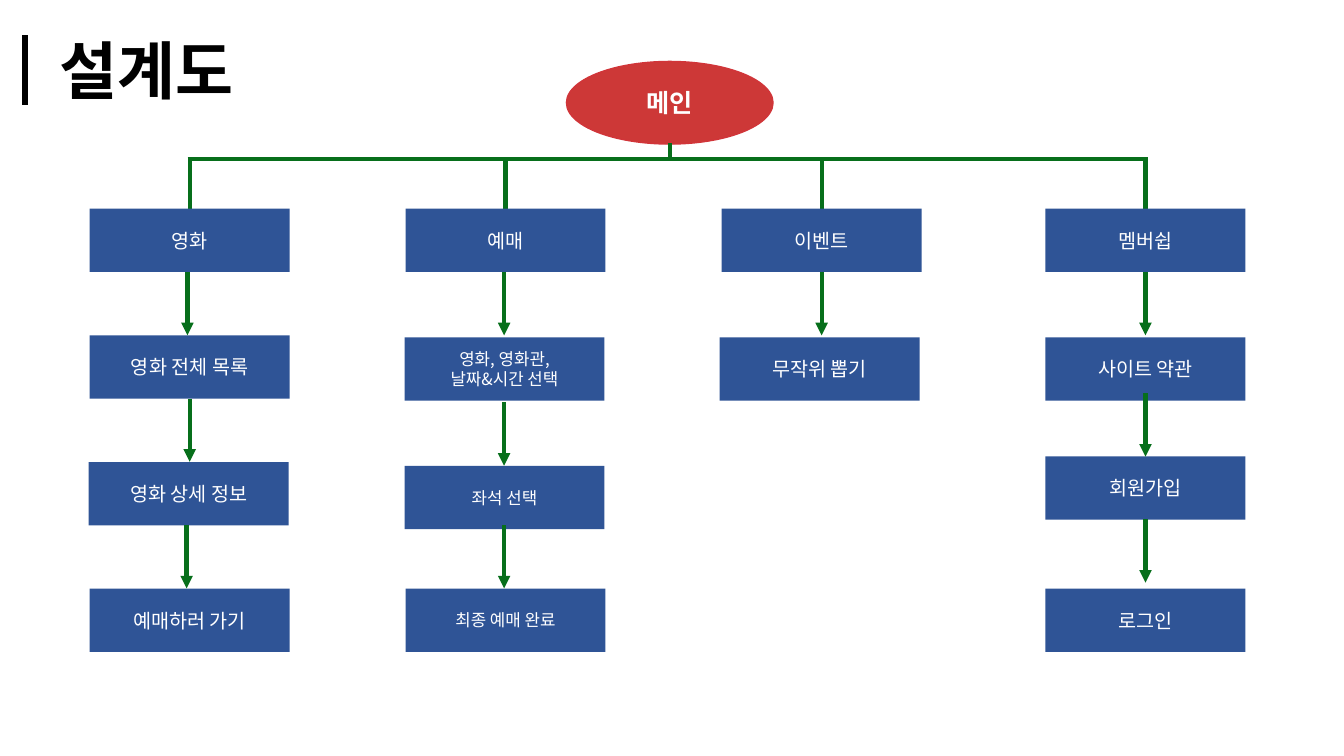
from pptx import Presentation
from pptx.dml.color import RGBColor
from pptx.enum.shapes import MSO_CONNECTOR, MSO_SHAPE
from pptx.enum.text import MSO_ANCHOR, MSO_AUTO_SIZE, PP_ALIGN
from pptx.oxml.ns import qn
from pptx.util import Pt
from lxml import etree

STRAIGHT = MSO_CONNECTOR.STRAIGHT
OVAL, RECTANGLE = MSO_SHAPE.OVAL, MSO_SHAPE.RECTANGLE
TOP, MIDDLE = MSO_ANCHOR.TOP, MSO_ANCHOR.MIDDLE
LEFT, CENTER = PP_ALIGN.LEFT, PP_ALIGN.CENTER
NO_AUTO_SIZE = MSO_AUTO_SIZE.NONE

FONT = "Noto Sans CJK KR"
BLACK, WHITE = "000000", "FFFFFF"
RED, RED_EDGE, BLUE, GREEN = "CD3837", "D13539", "2F5496", "076F1B"
STEP_WIDTH, STEP_HEIGHT, ARROW_LENGTH = 142.8, 45.2, 45.2
HEAD_TOP, BUS_TOP, LINE_WIDTH = 149, 113.8, 3

# Each column: left, steps (label, size, left shift, top), arrows (shift from centre, top).
COLUMNS = [
    (64.1,
     [("영화", 14, 0, HEAD_TOP), ("영화 전체 목록", 14, 0, 239.6),
      ("영화 상세 정보", 14, -0.7, 330), ("예매하러 가기", 14, 0, 420.4)],
     [(-1.6, 194.3), (0, 284.7), (-2.2, 375.1)]),
    (289.7,
     [("예매", 14, 0, HEAD_TOP), ("영화, 영화관,\n날짜&시간 선택", 12, -0.7, 241),
      ("좌석 선택", 12, -0.7, 332.8), ("최종 예매 완료", 12, 0, 420.4)],
     [(-1, 194.3), (-1, 287.5), (-1, 375.1)]),
    (515.5,
     [("이벤트", 14, 0, HEAD_TOP), ("무작위 뽑기", 14, -1.4, 241)],
     [(0, 194.3)]),
    (746.8,
     [("멤버쉽", 14, 0, HEAD_TOP), ("사이트 약관", 14, 0, 241),
      ("회원가입", 14, 0, 326), ("로그인", 14, 0, 420.4)],
     [(0, 194.3), (0, 281), (0, 371)]),
]


def color(value):
    """Turn a hex string into a colour."""
    return RGBColor.from_string(value)


def write(shape, text, size, ink, bold=False, align=CENTER, anchor=MIDDLE):
    """Put formatted text into a shape."""
    frame = shape.text_frame
    frame.text = text
    frame.word_wrap = True
    frame.auto_size = NO_AUTO_SIZE
    frame.vertical_anchor = anchor
    for para in frame.paragraphs:
        para.alignment = align
        for span in para.runs:
            span.font.size = Pt(size)
            span.font.bold = bold
            span.font.name = FONT
            span.font.color.rgb = color(ink)
            east_asian = etree.SubElement(span.font._element, qn("a:ea"))
            east_asian.set("typeface", FONT)


def add_block(page, kind, box, fill, edge=None):
    """Add a filled shape, outlined only when an edge colour is given."""
    shape = page.shapes.add_shape(kind, *map(Pt, box))
    shape.shadow.inherit = False
    shape.fill.solid()
    shape.fill.fore_color.rgb = color(fill)
    if edge:
        shape.line.color.rgb = color(edge)
        shape.line.width = Pt(1)
    else:
        shape.line.fill.background()
    return shape


def add_line(page, start, end, ink=GREEN, width=LINE_WIDTH, arrow=False):
    """Draw a straight line, with an arrowhead at its end if asked."""
    line = page.shapes.add_connector(STRAIGHT, *map(Pt, (*start, *end)))
    line.line.color.rgb = color(ink)
    line.line.width = Pt(width)
    if arrow:
        etree.SubElement(line.line._ln, qn("a:tailEnd")).set("type", "triangle")
    etree.SubElement(line._element.spPr, qn("a:effectLst"))


def add_title(page, box):
    """Place the title and the upright bar to its left."""
    left, top, width, height = box
    title = page.shapes.title
    title.left, title.top, title.width, title.height = map(Pt, box)
    write(title, "설계도", 45, BLACK, True, LEFT, TOP)
    bar_left = left - 17.3
    add_line(page, (bar_left, top + 6.5), (bar_left, top + 56.2), BLACK, 4.5)


def add_root(page, box):
    """Place the main node and the bus that joins it to the columns."""
    left, top, width, height = box
    main = add_block(page, OVAL, box, RED, RED_EDGE)
    write(main, "메인", 18, WHITE, True)
    middle = left + width / 2
    add_line(page, (middle, top + height - 0.7), (middle, BUS_TOP))
    centers = [column[0] + STEP_WIDTH / 2 for column in COLUMNS]
    overhang = LINE_WIDTH / 2
    add_line(page, (centers[0] - overhang, BUS_TOP), (centers[-1] + overhang, BUS_TOP))
    for center in centers:
        add_line(page, (center, BUS_TOP), (center, HEAD_TOP))


def add_column(page, left, steps, arrows):
    """Place one column of steps and the arrows between them."""
    for label, size, shift, top in steps:
        box = (left + shift, top, STEP_WIDTH, STEP_HEIGHT)
        write(add_block(page, RECTANGLE, box, BLUE), label, size, WHITE)
    for shift, top in arrows:
        center = left + STEP_WIDTH / 2 + shift
        add_line(page, (center, top), (center, top + ARROW_LENGTH), arrow=True)


def main():
    """Build the site map slide."""
    deck = Presentation()
    deck.slide_width, deck.slide_height = Pt(960), Pt(540)
    page = deck.slides.add_slide(deck.slide_layouts[5])
    add_title(page, (35.3, 18.7, 170.6, 61.9))
    add_root(page, (404.6, 43.9, 147.6, 59))
    for left, steps, arrows in COLUMNS:
        add_column(page, left, steps, arrows)
    deck.save("out.pptx")


if __name__ == "__main__":
    main()
